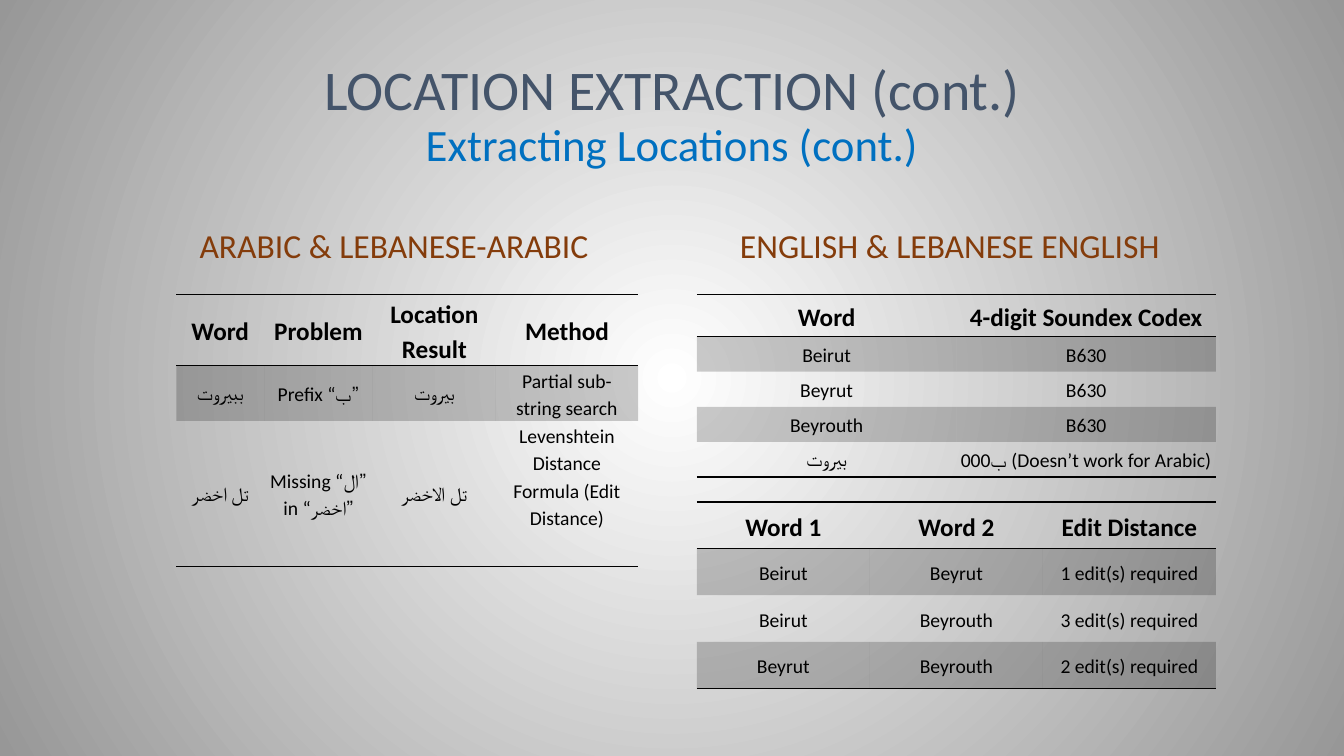
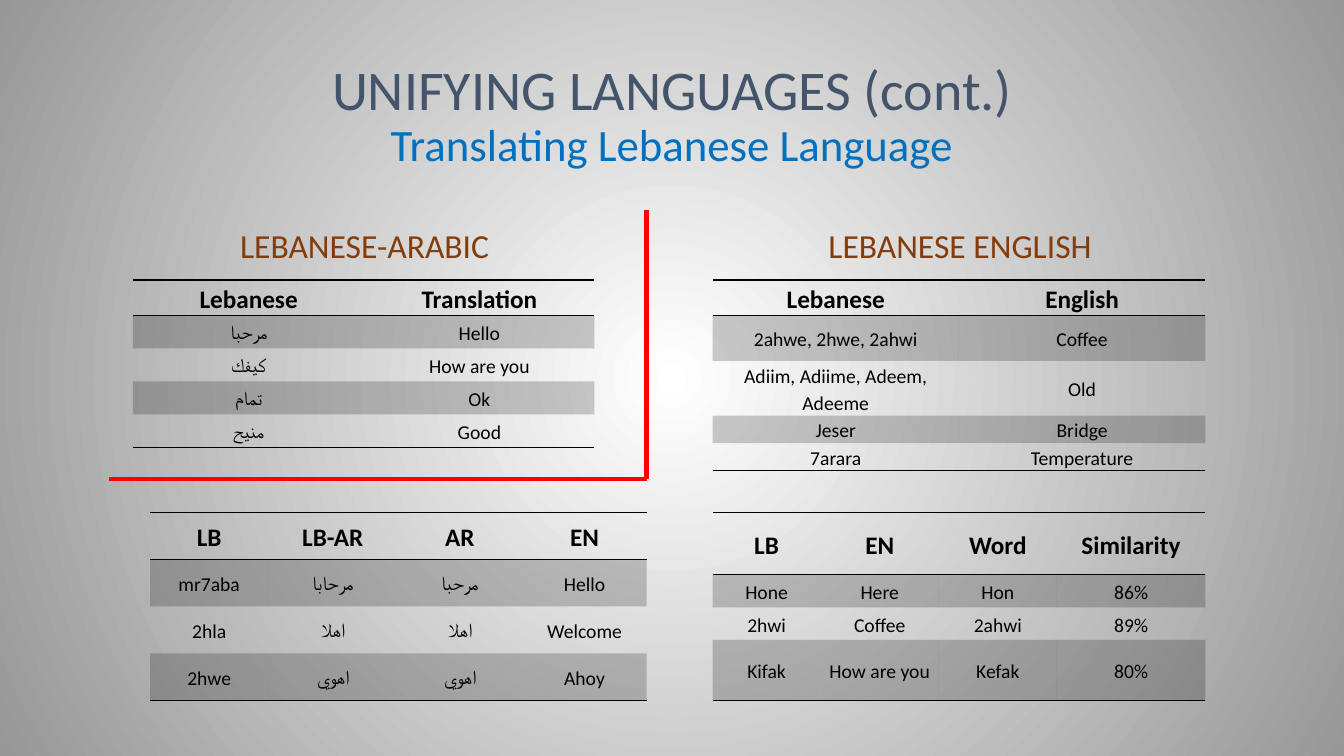
from pptx import Presentation
from pptx.dml.color import RGBColor
from pptx.enum.shapes import MSO_CONNECTOR as Connector
from pptx.enum.text import MSO_ANCHOR as Anchor, MSO_AUTO_SIZE as AutoSize, PP_ALIGN as Align
from pptx.oxml import parse_xml
from pptx.oxml.ns import nsdecls, qn
from pptx.util import Pt

COLORS = {
    "title": "44546A", "subtitle": "0070C0", "heading": "843C0B",
    "ink": "000000", "divider": "FF0000", "center": "FFFFFF", "edge": "979797",
}
FONTS = {
    "title": {"size": Pt(40)},
    "subtitle": {"size": Pt(32)},
    "heading": {"size": Pt(24)},
    "header": {"size": Pt(18), "bold": True},
    "cell": {"size": Pt(14), "bold": False},
}
TITLE_PARAGRAPH = {"alignment": Align.CENTER, "line_spacing": 0.9}
CELL_PARAGRAPH = {"alignment": Align.CENTER, "line_spacing": 1.15, "space_after": Pt(6)}
NO_GRID_STYLE = "{2D5ABB26-0587-4C30-8999-92F81FD0307C}"


def apply(target, values):
    """Set every attribute in values on the target."""
    for name, value in values.items():
        setattr(target, name, value)


class Deck:
    """Holds the shared style and the current slide."""

    def __init__(self):
        """Start a wide presentation with a radial background."""
        self.presentation = Presentation()
        apply(self.presentation, {"slide_width": Pt(960), "slide_height": Pt(540)})
        self.slide = None
        self.set_background()

    def set_background(self):
        """Give the slide master its circular gradient."""
        common = self.presentation.slide_master.element.find(qn("p:cSld"))
        for background in common.findall(qn("p:bg")):
            common.remove(background)
        common.insert(0, parse_xml(
            f'<p:bg {nsdecls("p", "a")}><p:bgPr><a:gradFill rotWithShape="1"><a:gsLst>'
            f'<a:gs pos="0"><a:srgbClr val="{COLORS["center"]}"/></a:gs>'
            f'<a:gs pos="100000"><a:srgbClr val="{COLORS["edge"]}"/></a:gs></a:gsLst>'
            '<a:path path="circle"><a:fillToRect l="50000" t="50000" r="50000" b="50000"/>'
            '</a:path></a:gradFill><a:effectLst/></p:bgPr></p:bg>'))

    def add_run(self, paragraph, text, style, color):
        """Add a run in a named font style and colour."""
        run = paragraph.add_run()
        run.text = text
        apply(run.font, {"name": "Calibri", **FONTS[style]})
        run.font.color.rgb = RGBColor.from_string(COLORS[color])

    def add_slide(self, title, subtitle):
        """Open a slide with a two-line title."""
        self.slide = self.presentation.slides.add_slide(self.presentation.slide_layouts[5])
        shape = self.slide.shapes.title
        apply(shape, {"left": Pt(96), "top": Pt(21.6), "width": Pt(768), "height": Pt(104.4)})
        apply(shape.text_frame, {"vertical_anchor": Anchor.BOTTOM, "word_wrap": True,
                                 "auto_size": AutoSize.NONE})
        paragraph = shape.text_frame.paragraphs[0]
        apply(paragraph, TITLE_PARAGRAPH)
        self.add_run(paragraph, title, "title", "title")
        paragraph.add_line_break()
        self.add_run(paragraph, subtitle, "subtitle", "subtitle")

    def add_heading(self, text, left, width):
        """Add a column heading."""
        shape = self.slide.shapes.add_textbox(Pt(left), Pt(144), Pt(width), Pt(66))
        apply(shape.text_frame, {"vertical_anchor": Anchor.MIDDLE, "word_wrap": True})
        paragraph = shape.text_frame.paragraphs[0]
        apply(paragraph, TITLE_PARAGRAPH)
        self.add_run(paragraph, text, "heading", "heading")

    def add_table(self, left, top, widths, heights, rows, inset=3):
        """Add a ruled table with every second row shaded."""
        frame = self.slide.shapes.add_table(len(rows), len(widths), Pt(left), Pt(top),
                                            Pt(sum(widths)), Pt(sum(heights)))
        table = frame.table
        frame.element.find(".//" + qn("a:tableStyleId")).text = NO_GRID_STYLE
        for column, width in zip(table.columns, widths):
            column.width = Pt(width)
        for row, height in zip(table.rows, heights):
            row.height = Pt(height)
        last = len(rows) - 1
        for row_index, texts in enumerate(rows):
            sides = {0: ("lnT", "lnB"), last: ("lnB",)}.get(row_index, ())
            for column_index, text in enumerate(texts):
                cell = table.cell(row_index, column_index)
                apply(cell, {"vertical_anchor": Anchor.MIDDLE, "margin_left": Pt(inset),
                             "margin_right": Pt(inset), "margin_top": 0, "margin_bottom": 0})
                paragraph = cell.text_frame.paragraphs[0]
                apply(paragraph, CELL_PARAGRAPH)
                self.add_run(paragraph, text, "cell" if row_index else "header", "ink")
                self.paint_cell(cell, row_index % 2 == 1, sides)
        return table

    def paint_cell(self, cell, shaded, sides):
        """Shade a cell and rule the given sides."""
        properties = cell._tc.get_or_add_tcPr()
        if shaded:
            cell.fill.solid()
            cell.fill.fore_color.rgb = RGBColor.from_string(COLORS["ink"])
            color = properties.find(".//" + qn("a:srgbClr"))
            color.append(parse_xml(f'<a:alpha {nsdecls("a")} val="20000"/>'))
        else:
            cell.fill.background()
        for position, side in enumerate(sides):
            properties.insert(position, parse_xml(
                f'<a:{side} {nsdecls("a")} w="{Pt(1)}"><a:solidFill>'
                f'<a:srgbClr val="{COLORS["ink"]}"/></a:solidFill></a:{side}>'))

    def add_divider(self, start, end):
        """Draw a straight dividing line."""
        line = self.slide.shapes.add_connector(
            Connector.STRAIGHT, *(Pt(value) for value in (*start, *end)))
        line.line.width = Pt(3)
        line.line.color.rgb = RGBColor.from_string(COLORS["divider"])
        line.element.spPr.append(parse_xml(f'<a:effectLst {nsdecls("a")}/>'))


def build_locations(deck):
    """Build the location extraction slide."""
    deck.add_slide("LOCATION EXTRACTION (cont.)", "Extracting Locations (cont.)")
    deck.add_heading("ARABIC & LEBANESE-ARABIC", 96, 371)
    deck.add_heading("ENGLISH & LEBANESE ENGLISH", 493, 371)
    methods = deck.add_table(126, 210.2, [62.6, 77.8, 87.8, 101.6], [51, 39.4, 104], [
        ["Word", "Problem", "Location Result", "Method"],
        ["ببيروت", "Prefix “ب”", "بيروت", "Partial sub-string search"],
        ["تل اخضر", "Missing “ال” in “اخضر”", "تل الاخضر",
         "Levenshtein Distance Formula (Edit Distance)"],
    ])
    methods.cell(2, 3).margin_bottom = Pt(25)
    deck.add_table(497.8, 210.2, [185.4] * 2, [30.2] + [25.1] * 4, [
        ["Word", "4-digit Soundex Codex"],
        ["Beirut", "B630"],
        ["Beyrut", "B630"],
        ["Beyrouth", "B630"],
        ["بيروت", "000ب (Doesn’t work for Arabic)"],
    ])
    deck.add_table(497.8, 358.6, [123.6] * 3, [33.3] * 4, [
        ["Word 1", "Word 2", "Edit Distance"],
        ["Beirut", "Beyrut", "1 edit(s) required"],
        ["Beirut", "Beyrouth", "3 edit(s) required"],
        ["Beyrut", "Beyrouth", "2 edit(s) required"],
    ], inset=5)


def build_languages(deck):
    """Build the language unification slide."""
    deck.add_slide("UNIFYING LANGUAGES (cont.)", "Translating Lebanese Language")
    deck.add_heading("LEBANESE-ARABIC", 96, 329)
    deck.add_heading("LEBANESE ENGLISH", 437.8, 496)
    deck.add_table(95, 200, [165.4, 164.2], [25.3] + [23.6] * 4, [
        ["Lebanese", "Translation"],
        ["مرحبا", "Hello"],
        ["كيفك", "How are you"],
        ["تمام", "Ok"],
        ["منيح", "Good"],
    ])
    deck.add_table(509, 200, [176] * 2, [25.3, 32.4, 39.2, 19.6, 19.6], [
        ["Lebanese", "English"],
        ["2ahwe, 2hwe, 2ahwi", "Coffee"],
        ["Adiim, Adiime, Adeem, Adeeme", "Old"],
        ["Jeser", "Bridge"],
        ["7arara", "Temperature"],
    ])
    deck.add_table(509, 366, [77.2, 84.4, 84.4, 106], [44.6, 23.2, 23.2, 43.3], [
        ["LB", "EN", "Word", "Similarity"],
        ["Hone", "Here", "Hon", "86%"],
        ["2hwi", "Coffee", "2ahwi", "89%"],
        ["Kifak", "How are you", "Kefak", "80%"],
    ], inset=5)
    deck.add_table(107.2, 366, [84.4, 92.2, 89.4, 88.8], [33.6] * 4, [
        ["LB", "LB-AR", "AR", "EN"],
        ["mr7aba", "مرحابا", "مرحبا", "Hello"],
        ["2hla", "اهلا", "اهلا", "Welcome"],
        ["2hwe", "اهوي", "اهوي", "Ahoy"],
    ], inset=5)
    corner = (461.8, 342)
    deck.add_divider((461.8, 150), corner)
    deck.add_divider(corner, (78, 342))


def main():
    """Build both slides and save them."""
    deck = Deck()
    build_locations(deck)
    build_languages(deck)
    deck.presentation.save("out.pptx")


if __name__ == "__main__":
    main()
